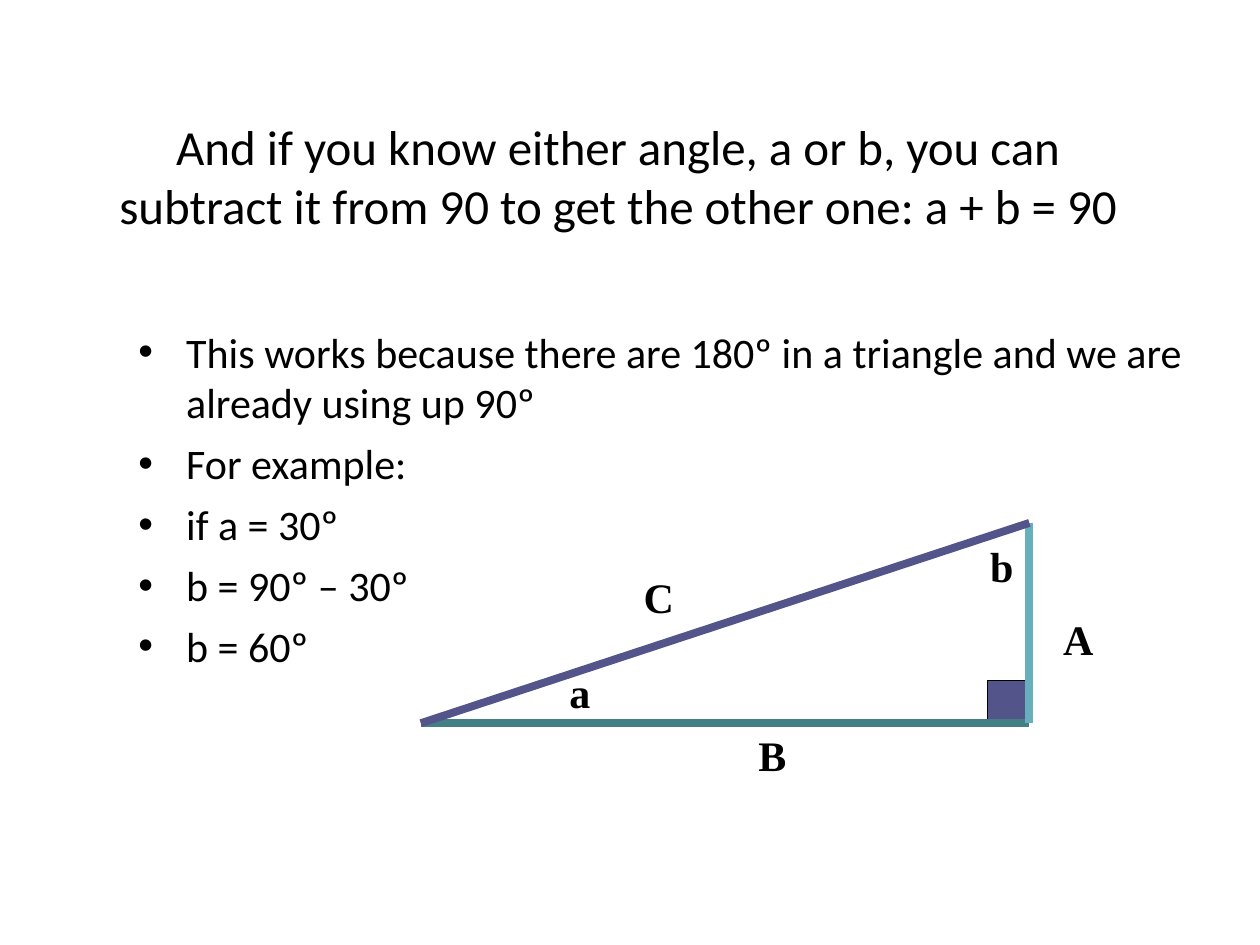
"""Build a slide on the two acute angles of a right triangle."""
from lxml import etree
from pptx import Presentation
from pptx.dml.color import RGBColor
from pptx.enum.shapes import MSO_CONNECTOR, MSO_SHAPE
from pptx.enum.text import MSO_ANCHOR, PP_ALIGN
from pptx.oxml.ns import qn
from pptx.util import Inches, Pt

BLACK = RGBColor(0x00, 0x00, 0x00)
PURPLE = RGBColor(0x53, 0x54, 0x8A)
GREEN = RGBColor(0x43, 0x80, 0x86)
BLUE = RGBColor(0x67, 0xAF, 0xBD)
STRAIGHT = MSO_CONNECTOR.STRAIGHT
RECT = MSO_SHAPE.RECTANGLE
TOP, MIDDLE = MSO_ANCHOR.TOP, MSO_ANCHOR.MIDDLE
LEFT, CENTER = PP_ALIGN.LEFT, PP_ALIGN.CENTER

deck = Presentation()
deck.slide_width, deck.slide_height = Inches(10), Inches(7.5)
slide = deck.slides.add_slide(deck.slide_layouts[6])
shapes = slide.shapes


def add_text(lines, x, y, w, h, size=24, face="Calibri", bold=False,
             align=LEFT, anchor=TOP, bullet=False):
    box = shapes.add_textbox(Inches(x), Inches(y), Inches(w), Inches(h))
    frame = box.text_frame
    frame.word_wrap = True
    frame.vertical_anchor = anchor
    for i, line in enumerate(lines):
        para = frame.paragraphs[0] if i == 0 else frame.add_paragraph()
        para.alignment = align
        if i:
            para.space_before = Pt(6)
        if bullet:
            props = para._p.get_or_add_pPr()
            props.set("marL", str(Inches(0.38)))
            props.set("indent", str(Inches(-0.38)))
            etree.SubElement(props, qn("a:buFont")).set("typeface", "Arial")
            etree.SubElement(props, qn("a:buChar")).set("char", "•")
        run = para.add_run()
        run.text = line
        font = run.font
        font.size, font.name, font.bold = Pt(size), face, bold
        font.color.rgb = BLACK


add_text(["And if you know either angle, a or b, you can subtract it from 90 "
          "to get the other one: a + b = 90"],
         0.78, 0.7, 8.25, 1.38, size=28, align=CENTER, anchor=MIDDLE)

add_text(["This works because there are 180º in a triangle and we are "
          "already using up 90º",
          "For example:", "if a = 30º", "b = 90º – 30º", "b = 60º"],
         1, 2.54, 9, 4.54, bullet=True)

square = shapes.add_shape(RECT, Inches(7.84), Inches(5.4),
                          Inches(0.33), Inches(0.33))
square.shadow.inherit = False
square.fill.solid()
square.fill.fore_color.rgb = PURPLE
square.line.color.rgb = BLACK
square.line.width = Pt(0.75)

sharp = Inches(3.34), Inches(5.74)
right = Inches(8.17), Inches(5.74)
peak = Inches(8.17), Inches(4.15)
for start, end, color in [(sharp, right, GREEN), (peak, right, BLUE),
                          (peak, sharp, PURPLE)]:
    side = shapes.add_connector(STRAIGHT, *start, *end)
    side.line.color.rgb = color
    side.line.width = Pt(4.5)
    etree.SubElement(side._element.spPr, qn("a:effectLst"))

for label, x, y, w in [("A", 8.34, 4.82, 0.5), ("C", 5.01, 4.49, 0.5),
                       ("B", 5.92, 5.74, 1.33), ("a", 4.42, 5.24, 0.5),
                       ("b", 7.76, 4.24, 0.5)]:
    add_text([label], x, y, w, 0.5, face="Times New Roman", bold=True)

deck.save("out.pptx")
